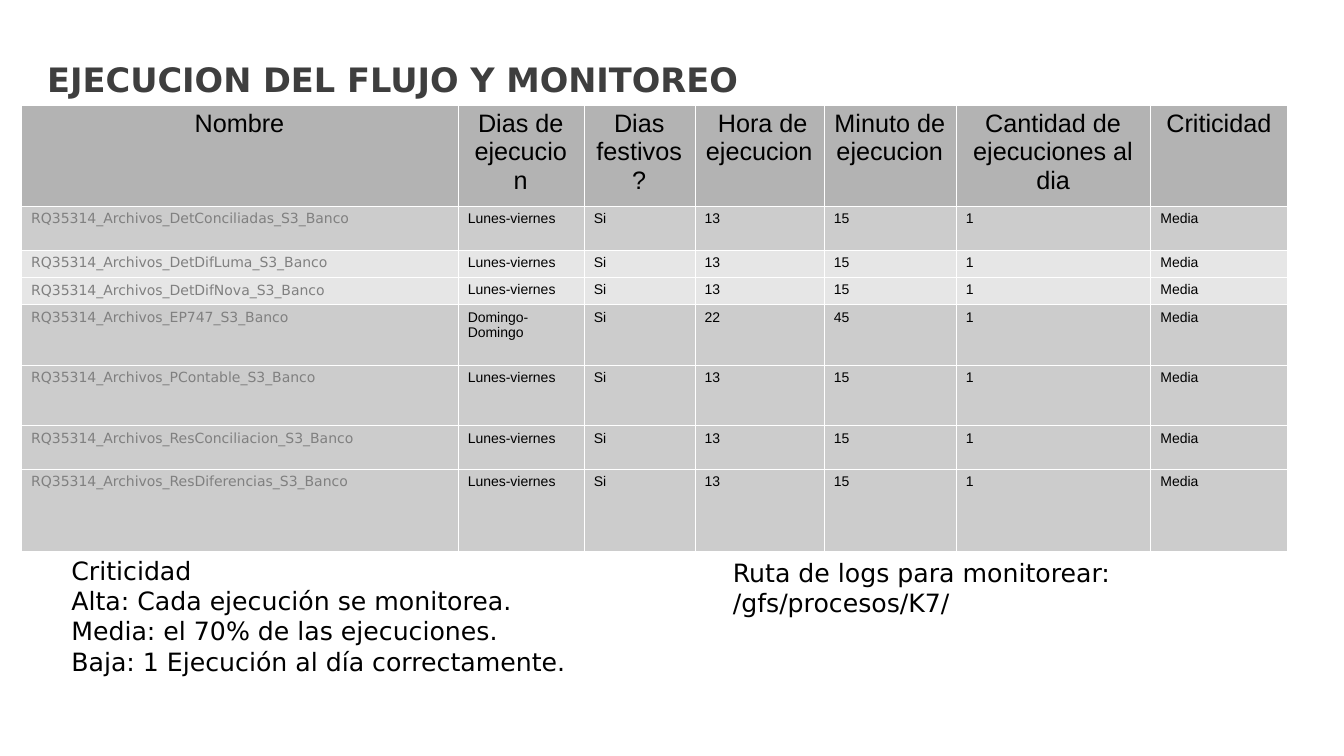
from lxml import etree
from pptx import Presentation
from pptx import util as u
from pptx.dml.color import RGBColor
from pptx.enum import text
from pptx.oxml import ns

BLACK = RGBColor(0x00, 0x00, 0x00)
CHARCOAL = RGBColor(0x3E, 0x3E, 0x3E)
GRAY = RGBColor(0x80, 0x80, 0x80)
HEADER_FILL = RGBColor(0xB3, 0xB3, 0xB3)
DARK_FILL = RGBColor(0xCC, 0xCC, 0xCC)
LIGHT_FILL = RGBColor(0xE6, 0xE6, 0xE6)
WHITE = RGBColor(0xFF, 0xFF, 0xFF)

HEADINGS = ["Nombre", "Dias de ejecucion", "Dias festivos?", " Hora de ejecucion",
            "Minuto de ejecucion", "Cantidad de ejecuciones al dia", "Criticidad"]
COLUMN_WIDTHS = [433, 125, 110, 128, 131, 193, 136]
HEADER_HEIGHT = 99
WEEKDAYS = ("Lunes-viernes", "13", "15")
EVERY_DAY = ("Domingo-Domingo", "22", "45")
PROCESSES = [
    ("DetConciliadas", WEEKDAYS, 44, DARK_FILL),
    ("DetDifLuma", WEEKDAYS, 27, LIGHT_FILL),
    ("DetDifNova", WEEKDAYS, 27, LIGHT_FILL),
    ("EP747", EVERY_DAY, 60, DARK_FILL),
    ("PContable", WEEKDAYS, 60, DARK_FILL),
    ("ResConciliacion", WEEKDAYS, 43, DARK_FILL),
    ("ResDiferencias", WEEKDAYS, 82, DARK_FILL),
]


class Slide:
    """Draws text boxes and tables on one slide, with lengths in px."""

    SCALE = 9144
    SANS = "DejaVu Sans"
    TABLE_FONT = "Arial"
    BORDER = 762

    def __init__(self, deck):
        self.page = deck.slides.add_slide(deck.slide_layouts[6])

    def px(self, length):
        return u.Emu(length * self.SCALE)

    def add_span(self, para, words, size, color=BLACK, font=SANS, bold=False):
        span = para.add_run()
        span.text = words
        span.font.name = font
        span.font.size = u.Pt(size)
        span.font.bold = bold
        span.font.color.rgb = color

    def text_box(self, area, lines, size, color=BLACK, bold=False, wrap=True):
        box = self.page.shapes.add_textbox(*map(self.px, area))
        frame = box.text_frame
        frame.word_wrap = wrap
        frame.auto_size = text.MSO_AUTO_SIZE.SHAPE_TO_FIT_TEXT
        for index, line in enumerate(lines):
            para = frame.add_paragraph() if index else frame.paragraphs[0]
            self.add_span(para, line, size, color, bold=bold)

    def table(self, left, top, widths, heights):
        area = map(self.px, (left, top, sum(widths), sum(heights)))
        grid = self.page.shapes.add_table(len(heights), len(widths), *area).table
        grid.first_row = grid.horz_banding = False
        for column, width in zip(grid.columns, widths):
            column.width = self.px(width)
        for row, height in zip(grid.rows, heights):
            row.height = self.px(height)
        return grid

    def cell(self, cell, words, fill, size, color=BLACK, font=TABLE_FONT, centered=False):
        cell.fill.solid()
        cell.fill.fore_color.rgb = fill
        para = cell.text_frame.paragraphs[0]
        if centered:
            para.alignment = text.PP_ALIGN.CENTER
        self.add_span(para, words, size, color, font)
        self.borders(cell)

    def borders(self, cell):
        properties = cell._tc.get_or_add_tcPr()
        for index, side in enumerate(("lnL", "lnR", "lnT", "lnB")):
            line = etree.Element(ns.qn(f"a:{side}"), w=str(self.BORDER))
            solid = etree.SubElement(line, ns.qn("a:solidFill"))
            etree.SubElement(solid, ns.qn("a:srgbClr"), val=str(WHITE))
            properties.insert(index, line)


def main():
    deck = Presentation()
    deck.slide_width = u.Inches(13.33)
    deck.slide_height = u.Inches(7.5)
    slide = Slide(deck)

    slide.text_box((37, 54, 727, 50), ["EJECUCION DEL FLUJO Y MONITOREO"], 24,
                   CHARCOAL, bold=True, wrap=False)
    slide.text_box((717, 548, 595, 70),
                   ["Ruta de logs para monitorear:", "/gfs/procesos/K7/"], 18)
    slide.text_box((61, 546, 520, 130),
                   ["Criticidad", "Alta: Cada ejecución se monitorea.",
                    "Media: el 70% de las ejecuciones.",
                    "Baja: 1 Ejecución al día correctamente."], 18)

    heights = [HEADER_HEIGHT] + [height for _, _, height, _ in PROCESSES]
    grid = slide.table(21, 104, COLUMN_WIDTHS, heights)
    for column, heading in enumerate(HEADINGS):
        slide.cell(grid.cell(0, column), heading, HEADER_FILL, 18, centered=True)
    for row, (process, (days, hour, minute), _, fill) in enumerate(PROCESSES, 1):
        name = f"RQ35314_Archivos_{process}_S3_Banco"
        slide.cell(grid.cell(row, 0), name, fill, 10, GRAY, Slide.SANS)
        for column, words in enumerate((days, "Si", hour, minute, "1", "Media"), 1):
            slide.cell(grid.cell(row, column), words, fill, 10)

    deck.save("out.pptx")


if __name__ == "__main__":
    main()
